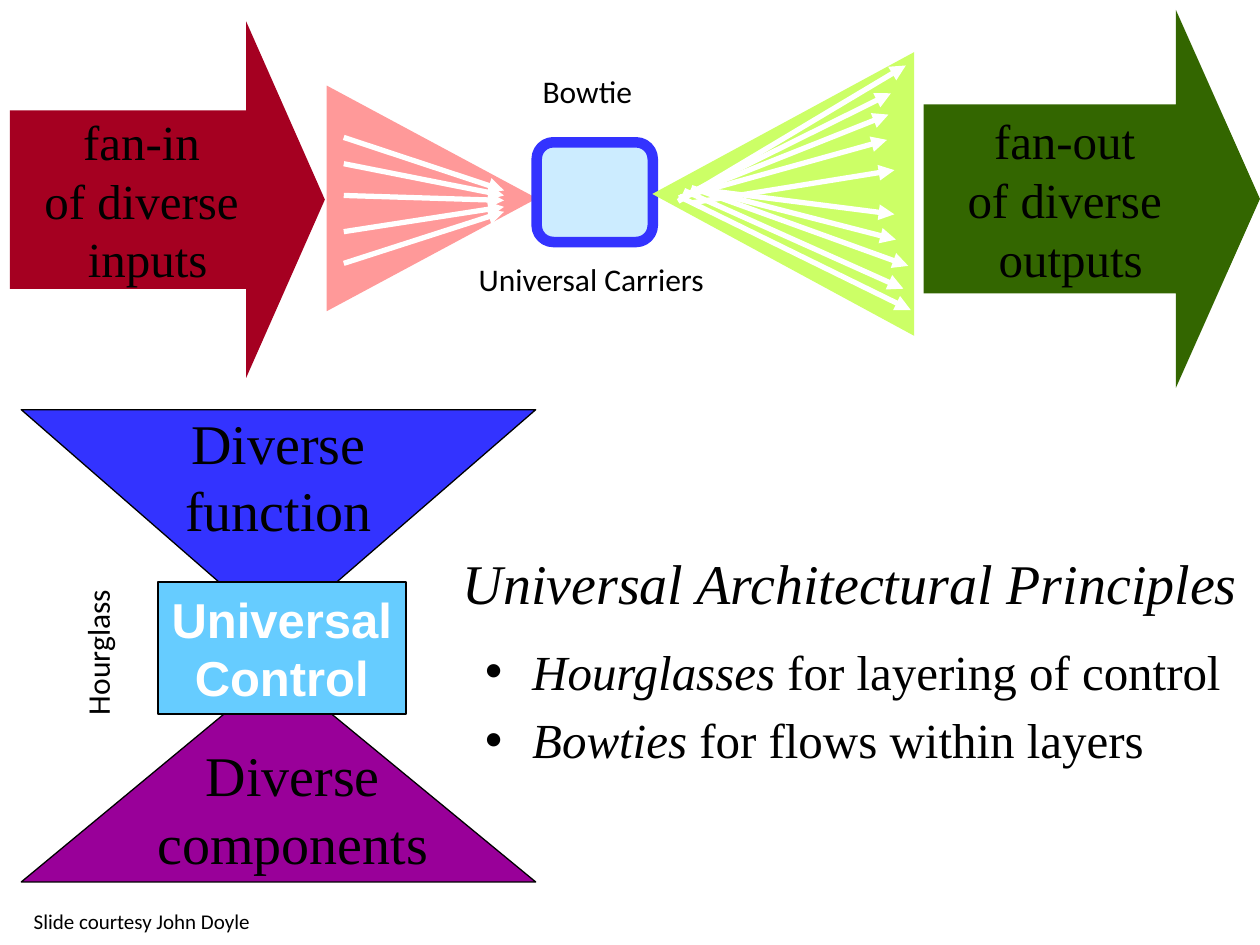
from lxml.etree import SubElement
from pptx import Presentation
from pptx.dml.color import RGBColor
from pptx.enum.shapes import MSO_CONNECTOR, MSO_SHAPE
from pptx.enum.text import MSO_ANCHOR, MSO_AUTO_SIZE, PP_ALIGN
from pptx.oxml.ns import qn
from pptx.util import Cm, Pt

SERIF, SANS, LABEL = "Times New Roman", "Arial", "Calibri"
BLACK, WHITE, BLUE = "000000", "FFFFFF", "3333FF"


def color(value):
    return RGBColor.from_string(value)


def write(shape, lines, size=18, font=LABEL, text_color=BLACK, bold=False, italic=False,
          align=PP_ALIGN.LEFT, anchor=MSO_ANCHOR.TOP, wrap=False, bullet=None,
          space_before=0, bottom=0.13):
    """Fill a shape with lines; a line is a string or a list of (text, italic) pairs."""
    frame = shape.text_frame
    frame.auto_size = MSO_AUTO_SIZE.NONE
    frame.word_wrap = wrap
    frame.vertical_anchor = anchor
    frame.margin_bottom = Cm(bottom)
    for index, line in enumerate(lines):
        paragraph = frame.add_paragraph() if index else frame.paragraphs[0]
        paragraph.alignment = align
        paragraph.space_before = Pt(space_before)
        if bullet:
            add_bullet(paragraph, bullet)
        pairs = [(line, italic)] if isinstance(line, str) else line
        for text, slanted in pairs:
            run = paragraph.add_run()
            run.text = text
            run.font.name, run.font.size = font, Pt(size)
            run.font.bold, run.font.italic = bold, slanted
            run.font.color.rgb = color(text_color)


def add_bullet(paragraph, character):
    properties = paragraph._p.get_or_add_pPr()
    indent = Cm(0.95)
    properties.set("marL", str(indent))
    properties.set("indent", str(-indent))
    SubElement(properties, qn("a:buFont"), typeface="Arial")
    SubElement(properties, qn("a:buChar"), char=character)


class SlideBuilder:
    """Holds the current slide and the style of its elements."""

    ray_color = WHITE
    ray_width = 3

    def __init__(self, slide):
        self.slide = slide
        self.shapes = slide.shapes

    def paint(self, shape, fill, line=None, line_width=0.75):
        shape.shadow.inherit = False
        shape.fill.solid()
        shape.fill.fore_color.rgb = color(fill)
        if line:
            shape.line.color.rgb = color(line)
            shape.line.width = Pt(line_width)
        else:
            shape.line.fill.background()
        return shape

    def shape(self, kind, box, fill, rotation=0, adjustments=(), **line):
        shape = self.shapes.add_shape(kind, *map(Cm, box))
        shape.rotation = rotation
        for index, value in enumerate(adjustments):
            shape.adjustments[index] = value
        return self.paint(shape, fill, **line)

    def block_arrow(self, box, fill, lines):
        arrow = self.shape(MSO_SHAPE.RIGHT_ARROW, box, fill, adjustments=(0.5, 0.25))
        write(arrow, lines, size=28, font=SERIF, align=PP_ALIGN.CENTER,
              anchor=MSO_ANCHOR.MIDDLE)

    def funnel(self, wide_y, narrow_y, fill):
        """Half of the hourglass, between its wide and its narrow edge."""
        points = [(0.43, wide_y), (5.03, narrow_y), (6.17, narrow_y), (10.8, wide_y)]
        first, *others = [(Cm(x), Cm(y)) for x, y in points]
        builder = self.shapes.build_freeform(*first)
        builder.add_line_segments(others, close=True)
        return self.paint(builder.convert_to_shape(), fill, line=BLACK)

    def ray(self, start, end, arrow_end):
        connector = self.shapes.add_connector(
            MSO_CONNECTOR.STRAIGHT, *map(Cm, (*start, *end)))
        connector.line.color.rgb = color(self.ray_color)
        connector.line.width = Pt(self.ray_width)
        SubElement(connector.line._get_or_add_ln(), qn(f"a:{arrow_end}"), type="triangle")
        SubElement(connector._element.spPr, qn("a:effectLst"))

    def text(self, box, lines, rotation=0, **style):
        text_box = self.shapes.add_textbox(*map(Cm, box))
        text_box.rotation = rotation
        write(text_box, lines, **style)

    def title(self, box, text, **style):
        title = self.shapes.title
        title.left, title.top, title.width, title.height = map(Cm, box)
        write(title, [text], wrap=True, align=PP_ALIGN.CENTER,
              anchor=MSO_ANCHOR.MIDDLE, **style)


def draw_bowtie(builder):
    builder.shape(MSO_SHAPE.ISOSCELES_TRIANGLE, (6.43, 1.88, 4.55, 4.24), "FF9999", rotation=90)
    fan_in = [(2.77, 3.84), (3.3, 3.94), (3.94, 4.04), (4.67, 4.17), (5.31, 4.27)]
    for start_y, end_y in fan_in:
        builder.ray((6.93, start_y), (10.16, end_y), "tailEnd")

    builder.shape(MSO_SHAPE.ROUNDED_RECTANGLE, (10.82, 2.87, 2.34, 2.01), "CCECFF",
                  adjustments=(0.167,), line=BLUE, line_width=6)

    builder.shape(MSO_SHAPE.ISOSCELES_TRIANGLE, (12.93, 1.27, 5.72, 5.28), "CCFF66", rotation=270)
    fan_out = [
        ((18.26, 1.32), (13.67, 4.06)), ((17.96, 1.88), (13.77, 3.96)),
        ((17.91, 2.31), (13.69, 3.99)), ((17.88, 2.82), (13.79, 3.96)),
        ((18.03, 3.43), (13.94, 4.09)), ((18.03, 4.32), (14.27, 3.84)),
        ((18.06, 4.83), (14.1, 3.81)), ((18.31, 5.36), (13.94, 3.78)),
        ((18.21, 5.82), (13.79, 3.84)), ((18.36, 6.25), (13.69, 3.96)),
    ]
    for tip, origin in fan_out:
        builder.ray(tip, origin, "headEnd")

    builder.block_arrow((0.2, 0.43, 6.35, 7.19), "A50021", ["fan-in ", "of diverse ", "inputs"])
    builder.block_arrow((18.62, 0.2, 6.78, 7.62), "336600", ["fan-out ", "of diverse ", "outputs"])


def draw_hourglass(builder):
    large = dict(size=32, font=SERIF, align=PP_ALIGN.CENTER)
    function = builder.funnel(8.26, 12.27, BLUE)
    write(function, ["Diverse", "function"], anchor=MSO_ANCHOR.MIDDLE, bottom=1.48, **large)
    builder.funnel(17.78, 13.97, "990099")
    builder.text((2.92, 14.81, 5.97, 2.97), ["Diverse", "components"], **large)
    control = builder.shape(MSO_SHAPE.RECTANGLE, (3.18, 11.73, 5, 2.67), "66CCFF",
                            line=BLACK, line_width=1)
    write(control, ["Universal", "Control"], size=28, font=SANS, text_color=WHITE, bold=True,
          align=PP_ALIGN.CENTER, anchor=MSO_ANCHOR.MIDDLE)


def main():
    presentation = Presentation()
    presentation.slide_width, presentation.slide_height = Cm(25.4), Cm(19.05)
    builder = SlideBuilder(presentation.slides.add_slide(presentation.slide_layouts[5]))

    draw_bowtie(builder)
    draw_hourglass(builder)
    builder.title((8.89, 10.34, 16.51, 2.79), "Universal Architectural Principles",
                  size=32, font=SERIF, italic=True)
    principles = [
        [("Hourglasses", True), (" for layering of control", False)],
        [("Bowties", True), (" for flows within layers", False)],
    ]
    builder.text((9.53, 12.8, 15.88, 3.18), principles, size=28, font=SERIF,
                 wrap=True, bullet="•", space_before=5.6)

    builder.text((10.69, 1.32, 2.34, 1.02), ["Bowtie"])
    builder.text((0.43, 12.62, 3.07, 1.02), ["Hourglass"], rotation=270)
    builder.text((0.43, 18.19, 4.93, 0.76), ["Slide courtesy John Doyle"], size=12)
    builder.text((9.4, 5.11, 5.13, 1.02), ["Universal Carriers"])
    presentation.save("out.pptx")


if __name__ == "__main__":
    main()
